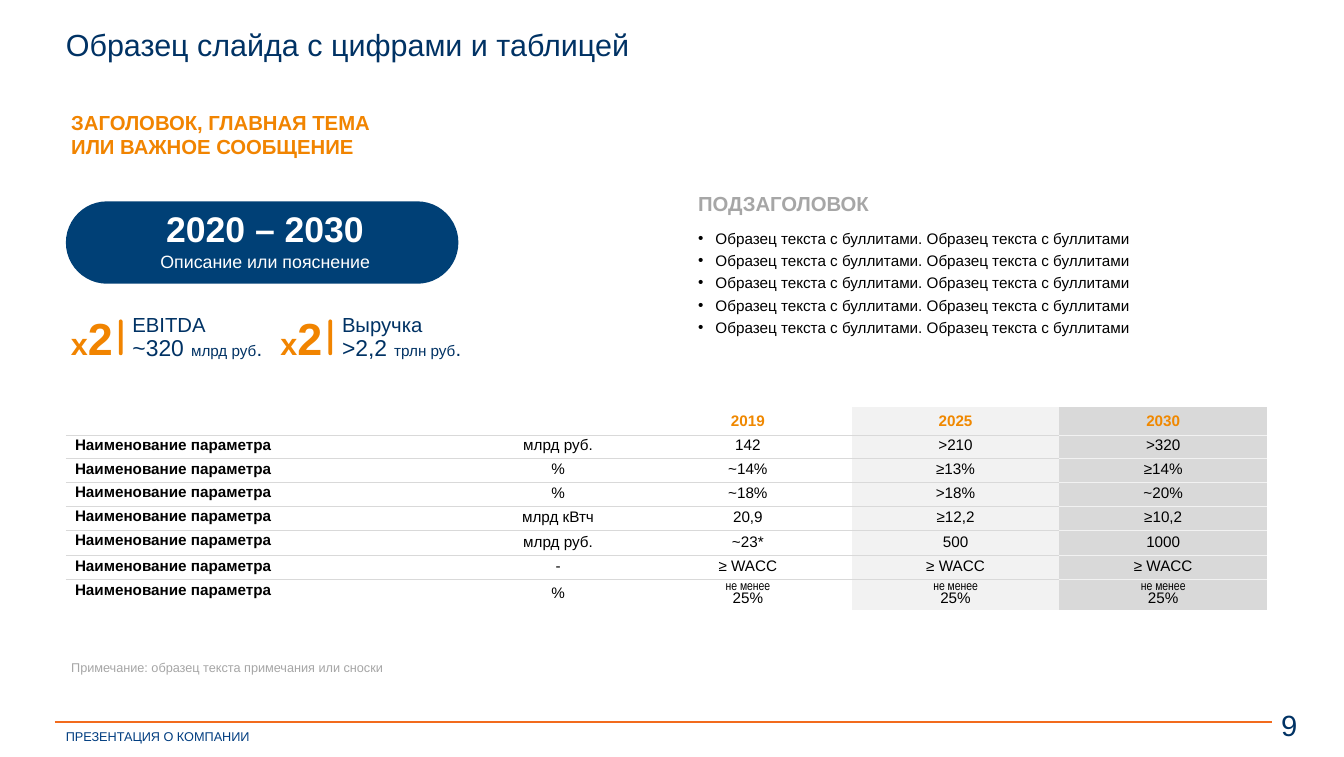
"""Build a slide with key figures, a bulleted list and a table of targets."""
from copy import deepcopy

from lxml import etree
from pptx import Presentation
from pptx.dml.color import RGBColor
from pptx.enum.shapes import MSO_CONNECTOR, MSO_SHAPE
from pptx.enum.text import MSO_ANCHOR, PP_ALIGN
from pptx.oxml.ns import qn
from pptx.util import Inches, Pt

LEFT, CENTER, RIGHT = PP_ALIGN.LEFT, PP_ALIGN.CENTER, PP_ALIGN.RIGHT
TOP, MIDDLE = MSO_ANCHOR.TOP, MSO_ANCHOR.MIDDLE
STRAIGHT = MSO_CONNECTOR.STRAIGHT
PILL, BAR = MSO_SHAPE.ROUNDED_RECTANGLE, MSO_SHAPE.ROUND_2_SAME_RECTANGLE
COLORS = {
    "navy": "003264", "footer": "003D80", "pill": "004076",
    "orange": "F18400", "year": "F08800", "rule": "F26B1D",
    "grey": "A6A6A6", "border": "D9D9D9", "light": "F2F2F2",
    "black": "000000", "white": "FFFFFF",
}


def write(para, spans, color, bold=False, align=LEFT, spacing=1.0):
    """Fill a paragraph with (text, size[, font]) spans; a vertical tab breaks the line."""
    para.alignment = align
    para.line_spacing = spacing
    para.space_before = Pt(0)
    for text, size, *font in spans:
        for index, piece in enumerate(text.split("\v")):
            if index:
                para.add_line_break()
            if piece:
                span = para.add_run()
                span.text = piece
                span.font.name = font[0] if font else "Arial"
                span.font.size = Pt(size)
                span.font.bold = bold
                span.font.color.rgb = RGBColor.from_string(COLORS[color])
    for line_break in para._p.findall(qn("a:br")):
        line_break.append(deepcopy(line_break.getprevious().find(qn("a:rPr"))))


def add_text(shapes, place, lines, color, inset=(0.1, 0.05), anchor=TOP, wrap=True, **style):
    """Add a text box with one paragraph for each list of spans."""
    box = shapes.add_textbox(*map(Inches, place))
    frame = box.text_frame
    frame.word_wrap = wrap
    frame.vertical_anchor = anchor
    frame.margin_left = frame.margin_right = Inches(inset[0])
    frame.margin_top = frame.margin_bottom = Inches(inset[1])
    for index, spans in enumerate(lines):
        para = frame.add_paragraph() if index else frame.paragraphs[0]
        write(para, spans, color, **style)


deck = Presentation()
deck.slide_width, deck.slide_height = Inches(14.69), Inches(8.27)
page = deck.slides.add_slide(deck.slide_layouts[1])
title, body = page.placeholders

for holder, place, inset in (
    (title, (0.6, 0.28, 12.59, 0.45), (0.12, 0.06)),
    (body, (7.39, 1.97, 6.14, 1.83), (0.24, 0.12)),
):
    holder.left, holder.top, holder.width, holder.height = map(Inches, place)
    frame = holder.text_frame
    frame.margin_left = frame.margin_right = Inches(inset[0])
    frame.margin_top = frame.margin_bottom = Inches(inset[1])
title.text_frame.vertical_anchor = MIDDLE
write(title.text_frame.paragraphs[0], [("Образец слайда с цифрами и таблицей", 24)],
      "navy", spacing=0.9)

subheading = body.text_frame.paragraphs[0]
properties = subheading._p.get_or_add_pPr()
properties.set("marL", "0")
properties.set("indent", "0")
etree.SubElement(properties, qn("a:buNone"))
write(subheading, [("ПОДЗАГОЛОВОК", 16)], "grey", bold=True)
subheading.space_after = Pt(13.2)
for _ in range(5):
    para = body.text_frame.add_paragraph()
    properties = para._p.get_or_add_pPr()
    properties.set("marL", str(Inches(0.19)))
    properties.set("indent", str(-Inches(0.19)))
    etree.SubElement(properties, qn("a:buFont"), typeface="Arial")
    etree.SubElement(properties, qn("a:buChar"), char="•")
    write(para, [("Образец текста с буллитами. Образец текста с буллитами", 12)],
          "black", spacing=0.8)
    para.space_after = Pt(6)

footer_rule = page.shapes.add_connector(
    STRAIGHT, Inches(0.6), Inches(7.89), Inches(13.9), Inches(7.89))
footer_rule.line.color.rgb = RGBColor.from_string(COLORS["rule"])
footer_rule.line.width = Pt(1.5)
etree.SubElement(footer_rule._element.spPr, qn("a:effectLst"))
add_text(page.shapes, (0.6, 7.9, 2.3, 0.29), [[("ПРЕЗЕНТАЦИЯ О КОМПАНИИ", 10)]],
         "footer", inset=(0.12, 0.06), wrap=False)
add_text(page.shapes, (11.81, 7.67, 2.49, 0.51), [[("9", 23)]],
         "navy", inset=(0.12, 0.06), align=RIGHT)

add_text(page.shapes, (0.68, 1.15, 10.95, 0.64),
         [[("ЗАГОЛОВОК, ГЛАВНАЯ ТЕМА\vИЛИ ВАЖНОЕ СООБЩЕНИЕ", 16)]], "orange", bold=True)
add_text(page.shapes, (0.68, 7.19, 10.83, 0.4),
         [[("Примечание: образец текста примечания или сноски", 10)]], "grey", spacing=0.8)

period = page.shapes.add_group_shape().shapes
pill = period.add_shape(PILL, Inches(0.72), Inches(2.2), Inches(4.29), Inches(0.9))
pill.adjustments[0] = 0.5
pill.shadow.inherit = False
pill.fill.solid()
pill.fill.fore_color.rgb = RGBColor.from_string(COLORS["pill"])
pill.line.fill.background()
add_text(period, (1.02, 2.21, 3.75, 0.57), [[("2020 – 2030", 28)]],
         "white", bold=True, align=CENTER)
add_text(period, (0.97, 2.62, 3.86, 0.48), [[("Описание или пояснение", 14)]],
         "white", inset=(0.24, 0.12), align=CENTER)

for bar_left, name, value, unit in (
    (1.3, "EBITDA", "~320", "млрд руб"),
    (3.59, "Выручка", ">2,2", "трлн руб"),
):
    figure = page.shapes.add_group_shape().shapes
    add_text(figure, (bar_left - 1.16, 3.45, 1.19, 0.58), [[("x", 24), ("2", 35.3)]],
             "orange", anchor=MIDDLE, bold=True, align=RIGHT, spacing=0.8)
    bar = figure.add_shape(BAR, Inches(bar_left), Inches(3.49), Inches(0.04), Inches(0.39))
    bar.adjustments[0] = bar.adjustments[1] = 0.5
    bar.shadow.inherit = False
    bar.fill.solid()
    bar.fill.fore_color.rgb = RGBColor.from_string(COLORS["orange"])
    bar.line.fill.background()
    add_text(figure, (bar_left + 0.05, 3.41, 1.7, 0.59),
             [[(name, 16)], [(value, 18), (" ", 20), (unit, 12), (".", 16)]],
             "navy", anchor=MIDDLE, spacing=0.8)

PARAMETER = "Наименование параметра"
MINIMUM = "не менее\v25%"
rows = [
    ("", "", "2019", "2025", "2030"),
    (PARAMETER, "млрд руб.", "142", ">210", ">320"),
    (PARAMETER, "%", "~14%", "≥13%", "≥14%"),
    (PARAMETER, "%", "~18%", ">18%", "~20%"),
    (PARAMETER, "млрд кВтч", "20,9", "≥12,2", "≥10,2"),
    (PARAMETER, "млрд руб.", "~23*", "500", "1000"),
    (PARAMETER, "-", "≥ WACC", "≥ WACC", "≥ WACC"),
    (PARAMETER, "%", MINIMUM, MINIMUM, MINIMUM),
]
widths = (4.44, 1.88, 2.27, 2.27, 2.27)
heights = (0.3, 0.26, 0.26, 0.26, 0.26, 0.28, 0.26, 0.33)
column_fills = {3: "light", 4: "border"}
table = page.shapes.add_table(len(rows), len(widths), Inches(0.72), Inches(4.45),
                              Inches(sum(widths)), Inches(sum(heights))).table
table.first_row = table.horz_banding = False
for column, width in zip(table.columns, widths):
    column.width = Inches(width)
for row, height in zip(table.rows, heights):
    row.height = Inches(height)

for row_index, values in enumerate(rows):
    header, last = row_index == 0, row_index == len(rows) - 1
    for column_index, value in enumerate(values):
        cell = table.cell(row_index, column_index)
        properties = cell._tc.get_or_add_tcPr()
        for side, visible in (("L", False), ("R", False), ("T", not header), ("B", not last)):
            edge = etree.SubElement(properties, qn(f"a:ln{side}"), w=str(Pt(0.5)))
            if visible:
                paint = etree.SubElement(edge, qn("a:solidFill"))
                shade = COLORS["light" if column_index == 4 else "border"]
                etree.SubElement(paint, qn("a:srgbClr"), val=shade)
            else:
                etree.SubElement(edge, qn("a:noFill"))
        if column_index in column_fills:
            cell.fill.solid()
            cell.fill.fore_color.rgb = RGBColor.from_string(COLORS[column_fills[column_index]])
        else:
            cell.fill.background()
        label = column_index == 0
        if header or not label:
            cell.margin_top = cell.margin_bottom = 0
            cell.vertical_anchor = MIDDLE
        spans = [(value, 12)]
        if value == MINIMUM:
            spans = [("не менее\v", 10, "Arial Narrow"), ("25%", 12)]
        write(cell.text_frame.paragraphs[0], spans, "year" if header else "black",
              bold=header or label, align=LEFT if label else CENTER,
              spacing=1.0 if header else 0.8)

deck.save("out.pptx")
